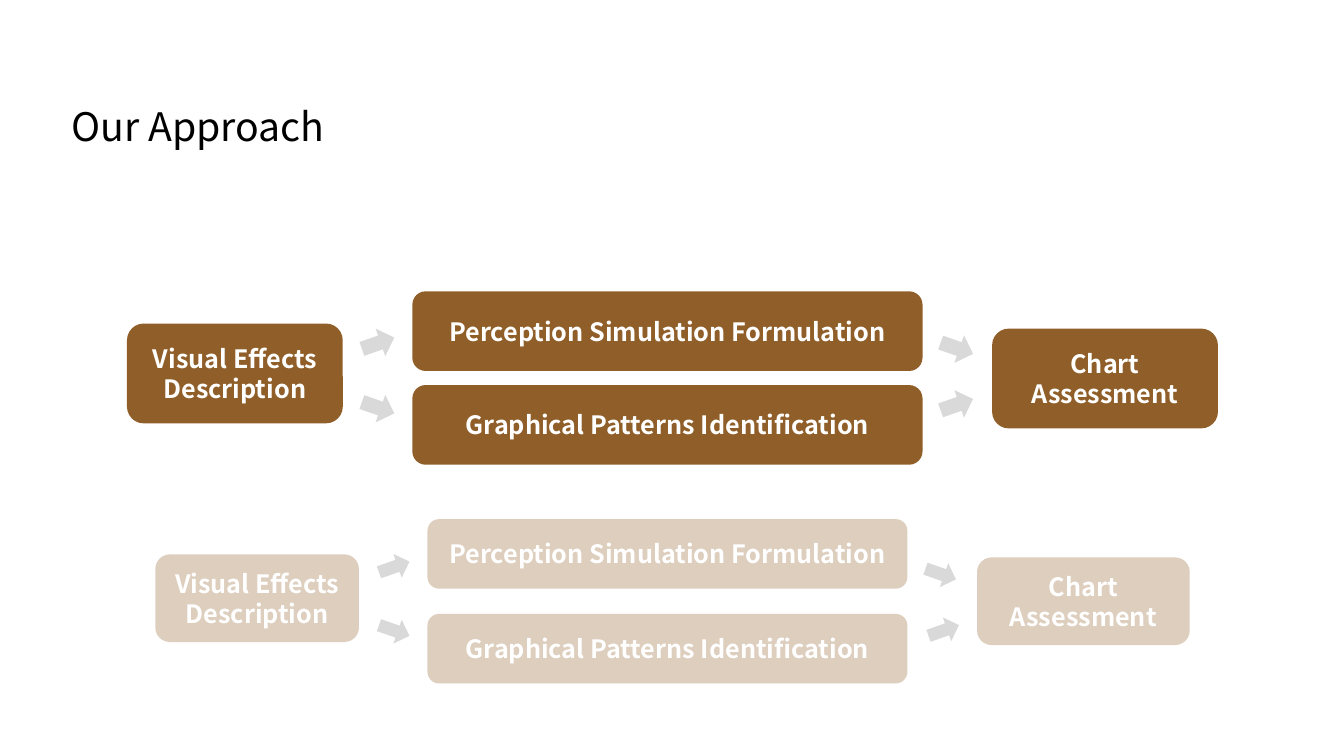
from lxml import etree
from pptx import Presentation
from pptx.dml.color import RGBColor
from pptx.enum.shapes import MSO_SHAPE as Preset
from pptx.enum.text import MSO_ANCHOR as Anchor, PP_ALIGN as Align
from pptx.oxml.ns import qn
from pptx.util import Inches, Pt

COLORS = {"brown": "905F29", "grey": "D9D9D9", "white": "FFFFFF", "black": "000000"}
FONT = "Noto Sans CJK SC"
TILT = 19.3
STEPS = [
    "Visual Effects Description",
    "Chart Assessment",
    "Perception Simulation Formulation",
    "Graphical Patterns Identification",
]
# Each flow: opacity in percent, one box per step, arrow size, arrow places with tilt
FLOWS = [
    {
        "opacity": 100,
        "boxes": [(1.26, 3.21, 2.14, 0.99), (9.84, 3.26, 2.24, 0.99),
                  (4.09, 2.89, 5.06, 0.79), (4.09, 3.82, 5.06, 0.79)],
        "arrow_size": (0.34, 0.29),
        "arrows": [(3.58, 3.26, -TILT), (3.58, 3.9, TILT),
                   (9.32, 3.87, -TILT), (9.32, 3.31, TILT)],
    },
    {
        "opacity": 30,
        "boxes": [(1.54, 5.5, 2.02, 0.87), (9.69, 5.53, 2.11, 0.87),
                  (4.24, 5.15, 4.76, 0.69), (4.24, 6.09, 4.76, 0.69)],
        "arrow_size": (0.32, 0.25),
        "arrows": [(3.75, 5.5, -TILT), (3.75, 6.13, TILT),
                   (9.2, 6.13, -TILT), (9.17, 5.57, TILT)],
    },
]


def write(shape, text, color, align, **font_values):
    frame = shape.text_frame
    frame.word_wrap = True
    frame.vertical_anchor = Anchor.MIDDLE
    para = frame.paragraphs[0]
    para.alignment = align
    span = para.add_run()
    span.text = text
    span.font.name = FONT
    span.font.color.rgb = RGBColor.from_string(COLORS[color])
    for name, value in font_values.items():
        setattr(span.font, name, value)


def add_filled(group, preset, bounds, color):
    shape = group.shapes.add_shape(preset, *map(Inches, bounds))
    shape.shadow.inherit = False
    shape.line.fill.background()
    shape.fill.solid()
    shape.fill.fore_color.rgb = RGBColor.from_string(COLORS[color])
    return shape


deck = Presentation()
deck.slide_width, deck.slide_height = Inches(13.33), Inches(7.5)
page = deck.slides.add_slide(deck.slide_layouts[5])

title = page.shapes.title
title.left, title.top = Inches(0.61), Inches(0.48)
title.width, title.height = Inches(12.46), Inches(1.59)
write(title, "Our Approach", "black", Align.LEFT, size=Pt(28))
title.text_frame.paragraphs[0].line_spacing = 0.9

for flow in FLOWS:
    group = page.shapes.add_group_shape()
    for step, bounds in zip(STEPS, flow["boxes"]):
        box = add_filled(group, Preset.ROUNDED_RECTANGLE, bounds, "brown")
        write(box, step, "white", Align.CENTER, size=Pt(18), bold=True)
        if flow["opacity"] < 100:
            color_node = box.fill._xPr.find(qn("a:solidFill"))[0]
            alpha = etree.SubElement(color_node, qn("a:alpha"))
            alpha.set("val", str(flow["opacity"] * 1000))
    for left, top, tilt in flow["arrows"]:
        arrow = add_filled(group, Preset.RIGHT_ARROW, (left, top, *flow["arrow_size"]), "grey")
        arrow.rotation = tilt

deck.save("out.pptx")
